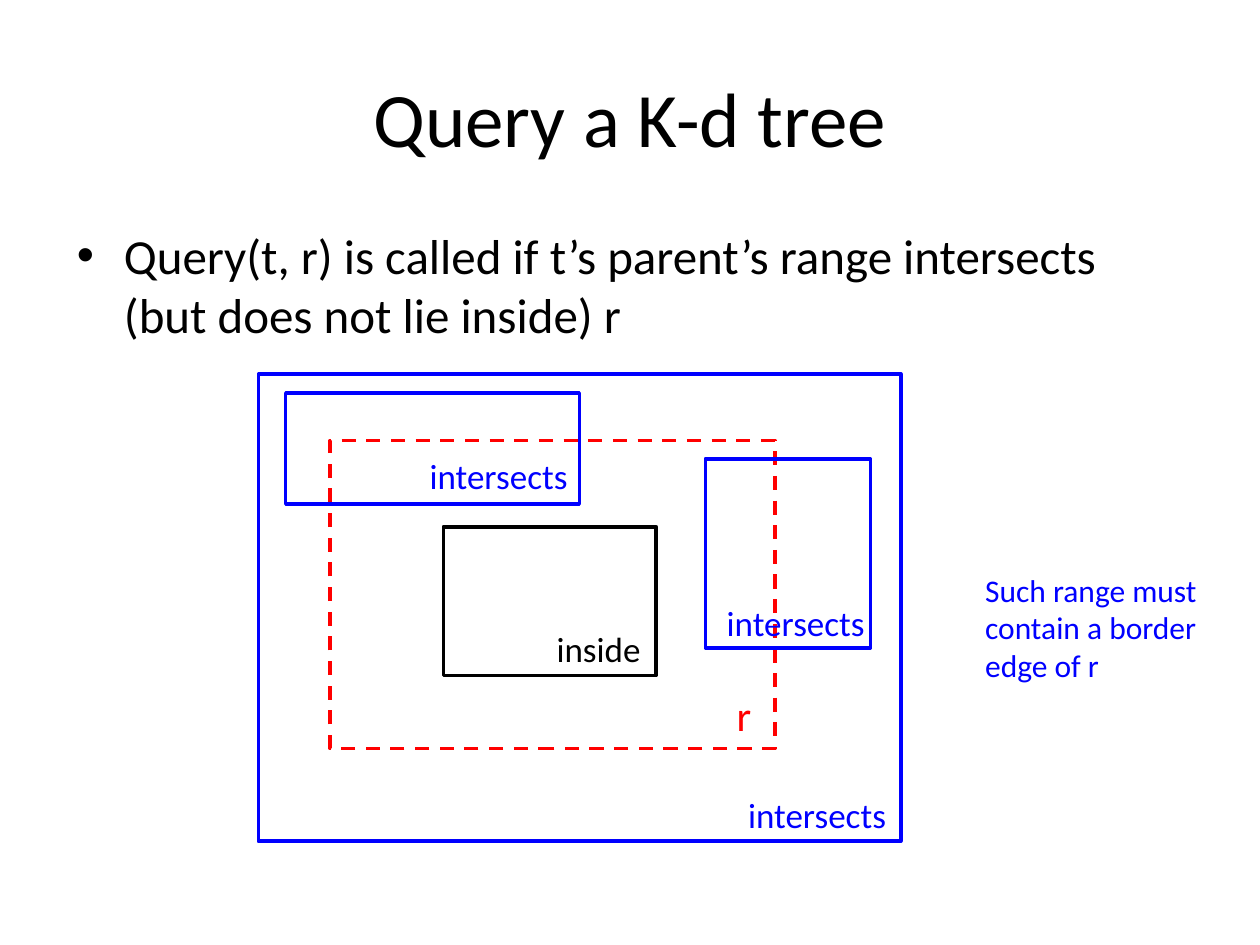
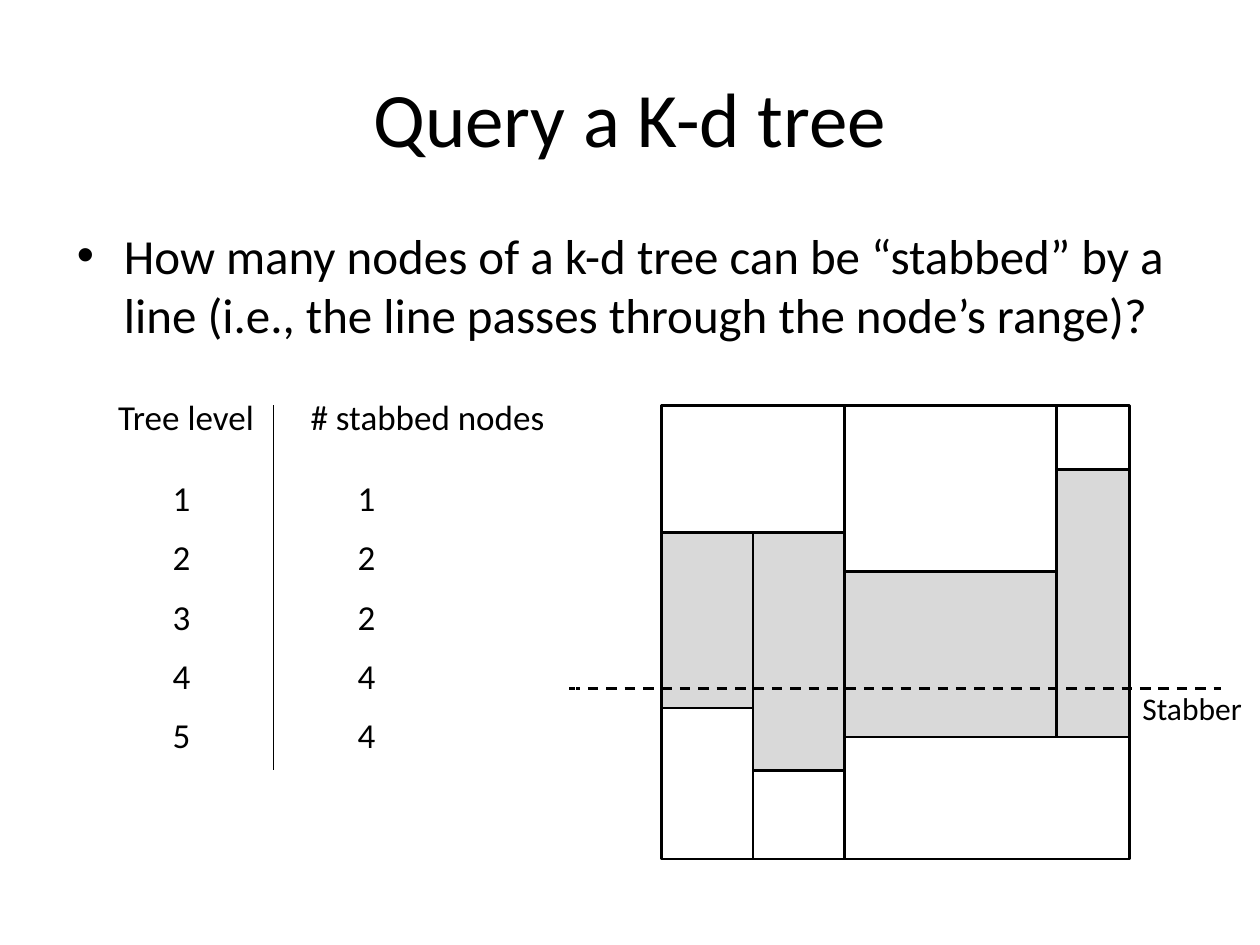
from lxml import etree
from pptx import Presentation
from pptx.dml.color import RGBColor
from pptx.enum import dml, shapes, text
from pptx.oxml import ns
from pptx.util import Cm, Pt

COLORS = {"ink": "000000", "red": "FF0000", "blue": "0000FF", "shade": "D9D9D9"}
FONT = "Calibri"
TITLE = "Query a K-d tree"
TITLE_BOX = (1.27, 0.76, 22.86, 3.18)
BODY_BOX = (1.3, 4.42, 22.86, 12.57)

CALL_RULE = "Query(t, r) is called if t’s parent’s range intersects (but does not lie inside) r"
RANGES = [
    ("r", "red", 24, True, (6.65, 8.88, 8.97, 6.21), (14.6, 13.77, 0.81, 1.27)),
    ("inside", "ink", 20, False, (8.94, 10.62, 4.29, 3), (10.97, 12.52, 2.24, 1.12)),
    ("intersects", "blue", 20, False, (5.76, 7.92, 5.92, 2.24), (8.41, 9.04, 3.33, 1.12)),
    ("intersects", "blue", 20, False, (5.21, 7.54, 12.95, 9.42), (14.83, 15.88, 3.33, 1.12)),
    ("intersects", "blue", 20, False, (14.22, 9.25, 3.33, 3.81), (14.4, 12.01, 3.33, 1.12)),
]
EDGE_NOTE = "Such range must contain a border edge of r"
NOTE_BOX = (19.61, 11.38, 5.16, 2.57)

STAB_QUESTION = (
    "How many nodes of a k-d tree can be “stabbed” by a line "
    "(i.e., the line passes through the node’s range)?"
)
LEVELS = [("Tree level", "# stabbed nodes"),
          ("1", "1"), ("2", "2"), ("3", "2"), ("4", "4"), ("5", "4")]
TABLE_TOP, HEADER_HEIGHT, ROW_HEIGHT = 7.87, 1.65, 1.19
COLUMN_EDGES = (2.13, 5.51, 11.6)
HEADER_INDENTS, VALUE_INDENTS = (0.25, 0.75), (1.35, 1.7)

X = dict(left=13.33, low=15.18, mid=17.02, high=21.3, right=22.77)
Y = dict(top=8.17, corner=9.46, upper=10.73, centre=11.52,
         short=14.27, lower=14.86, deep=15.53, bottom=17.32)
STABBED = [
    ("mid", "centre", "high", "lower"),
    ("high", "corner", "right", "lower"),
    ("left", "upper", "low", "short"),
    ("low", "upper", "mid", "deep"),
]
SPLITS = [
    ("mid", "top", "mid", "bottom"),
    ("left", "upper", "mid", "upper"),
    ("mid", "lower", "right", "lower"),
    ("low", "upper", "low", "bottom"),
    ("high", "top", "high", "lower"),
    ("low", "deep", "mid", "deep"),
    ("left", "short", "low", "short"),
    ("mid", "centre", "high", "centre"),
    ("high", "corner", "right", "corner"),
]
STABBER = (11.48, 13.88, 24.61, 13.88)
STABBER_BOX = (22.78, 13.77, 2.54, 1.02)


def cm(values):
    return [Cm(v) for v in values]


def rgb(name):
    return RGBColor.from_string(COLORS[name])


def write(tf, words, size, color="ink"):
    p = tf.paragraphs[0]
    r = p.add_run()
    r.text = words
    r.font.name, r.font.size, r.font.bold = FONT, Pt(size), False
    r.font.color.rgb = rgb(color)
    return p


def add_text(s, box, words, size, color="ink", wrap=False):
    tf = s.shapes.add_textbox(*cm(box)).text_frame
    tf.word_wrap = wrap
    return write(tf, words, size, color)


def style_line(line, color, width, dashed):
    line.color.rgb = rgb(color)
    line.width = Pt(width)
    if dashed:
        line.dash_style = dml.MSO_LINE.DASH


def add_rect(s, box, fill=None, line=None, width=1.5, dashed=False):
    sp = s.shapes.add_shape(shapes.MSO_SHAPE.RECTANGLE, *cm(box))
    sp.shadow.inherit = False
    if fill:
        sp.fill.solid()
        sp.fill.fore_color.rgb = rgb(fill)
    else:
        sp.fill.background()
    if line:
        style_line(sp.line, line, width, dashed)
    else:
        sp.line.fill.background()


def add_line(s, ends, width=1.5, dashed=False):
    c = s.shapes.add_connector(shapes.MSO_CONNECTOR.STRAIGHT, *cm(ends))
    style_line(c.line, "ink", width, dashed)
    etree.SubElement(c._element.spPr, ns.qn("a:effectLst"))


def add_slide(prs, bullet):
    s = prs.slides.add_slide(prs.slide_layouts[5])
    title = s.shapes.title
    title.left, title.top, title.width, title.height = cm(TITLE_BOX)
    title.text_frame.vertical_anchor = text.MSO_ANCHOR.MIDDLE
    write(title.text_frame, TITLE, 44).alignment = text.PP_ALIGN.CENTER
    p = add_text(s, BODY_BOX, bullet, 28, wrap=True)
    p.space_before = Pt(5.6)
    pPr = p._p.get_or_add_pPr()
    pPr.set("marL", str(Cm(0.95)))
    pPr.set("indent", str(Cm(-0.95)))
    etree.SubElement(pPr, ns.qn("a:buFont"), typeface="Arial")
    etree.SubElement(pPr, ns.qn("a:buChar"), char="•")
    return s


def corners(names):
    x1, y1, x2, y2 = names
    return X[x1], Y[y1], X[x2], Y[y2]


def box_between(names):
    x1, y1, x2, y2 = corners(names)
    return x1, y1, x2 - x1, y2 - y1


def add_levels(s):
    widths = [b - a for a, b in zip(COLUMN_EDGES, COLUMN_EDGES[1:])]
    heights = [HEADER_HEIGHT] + [ROW_HEIGHT] * (len(LEVELS) - 1)
    box = (COLUMN_EDGES[0], TABLE_TOP, sum(widths), sum(heights))
    table = s.shapes.add_table(len(LEVELS), len(widths), *cm(box)).table
    table.first_row = table.horz_banding = False
    for column, width in zip(table.columns, widths):
        column.width = Cm(width)
    for i, (row, height) in enumerate(zip(table.rows, heights)):
        row.height = Cm(height)
        indents = VALUE_INDENTS if i else HEADER_INDENTS
        for cell, words, indent in zip(row.cells, LEVELS[i], indents):
            cell.fill.background()
            cell.margin_left, cell.margin_right = Cm(indent), Cm(0)
            write(cell.text_frame, words, 20)
    add_line(s, (COLUMN_EDGES[1], Y["top"], COLUMN_EDGES[1], Y["deep"]), 0.75)


def build_ranges(prs):
    s = add_slide(prs, CALL_RULE)
    for label, color, size, dashed, box, label_box in RANGES:
        add_rect(s, box, line=color, width=2, dashed=dashed)
        add_text(s, label_box, label, size, color)
    add_text(s, NOTE_BOX, EDGE_NOTE, 18, "blue", wrap=True)


def build_stabbing(prs):
    s = add_slide(prs, STAB_QUESTION)
    for names in STABBED:
        add_rect(s, box_between(names), fill="shade")
    add_rect(s, box_between(("left", "top", "right", "bottom")), line="ink")
    for names in SPLITS:
        add_line(s, corners(names))
    add_line(s, STABBER, dashed=True)
    add_text(s, STABBER_BOX, "Stabber", 18)
    add_levels(s)


def main():
    prs = Presentation()
    prs.slide_width, prs.slide_height = cm((25.4, 19.05))
    build_ranges(prs)
    build_stabbing(prs)
    prs.save("out.pptx")


if __name__ == "__main__":
    main()
